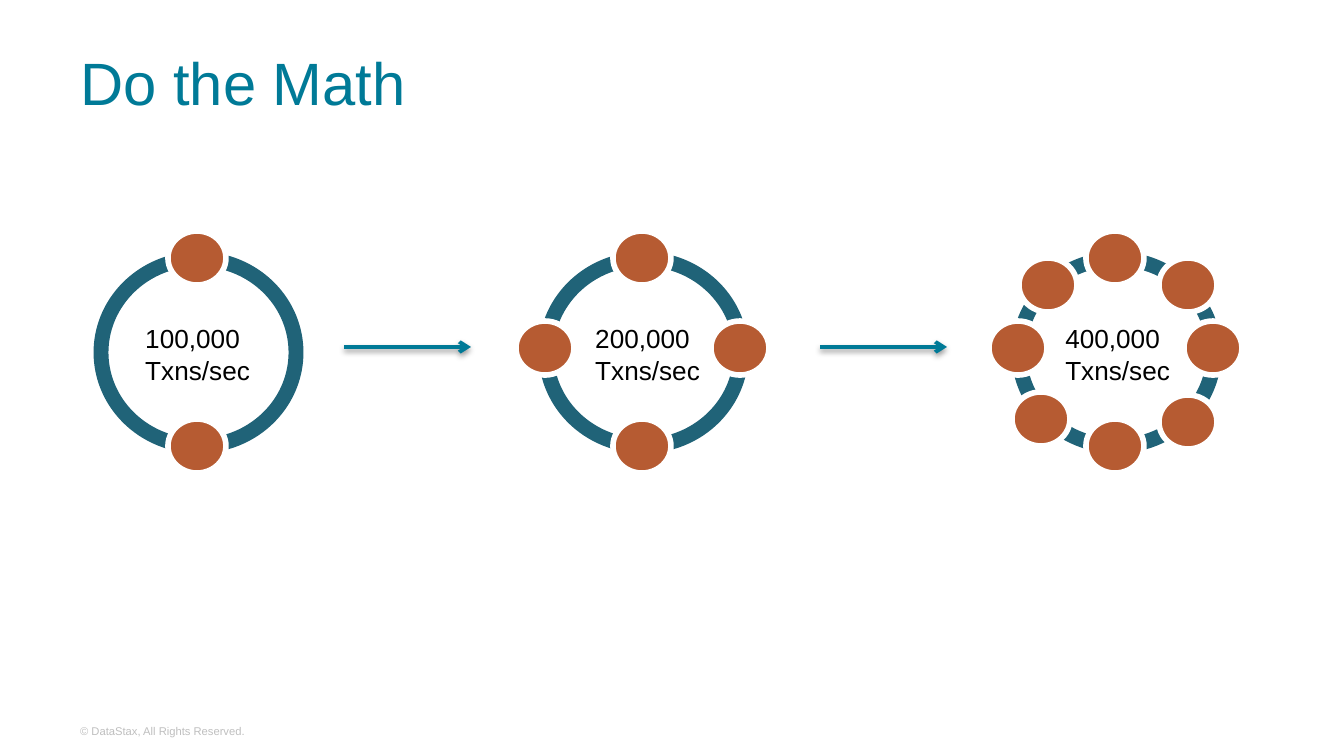
from lxml import etree
from pptx import Presentation
from pptx.dml.color import RGBColor
from pptx.enum.shapes import MSO_CONNECTOR, MSO_SHAPE
from pptx.enum.text import MSO_ANCHOR, MSO_AUTO_SIZE, PP_ALIGN
from pptx.oxml import parse_xml
from pptx.oxml.ns import nsdecls, qn
from pptx.util import Emu, Pt

# Content: lengths in px
TITLE = "Do the Math"
FOOTER = "© DataStax, All Rights Reserved."
COLORS = {"teal": "007A97", "ring": "206378", "node": "B65B32",
          "white": "FFFFFF", "black": "000000", "gray": "BFBFBF"}
FONT = "Arial"

# Node offsets from the top left of a ring
POLES = [(67, -28), (67, 160)]
SIDES = [(-30, 62), (165, 62)]
DIAGONALS = [(0, -1), (-7, 133), (140, -1), (140, 136)]

# Ring left, label left, label lines, nodes
CLUSTERS = [
    (101, 132, ["100,000", "Txns/sec"], POLES),
    (546, 582, ["200,000", "Txns/sec"], POLES + SIDES),
    (1019, 1052, ["400,000", "Txns/sec"], POLES + SIDES + DIAGONALS),
]
RING_TOP, RING_W, RING_H = 259, 195, 187
NODE_W, NODE_H = 58, 54
LABEL_TOP, LABEL_W, LABEL_H = 316, 132, 77
ARROW_LEFTS, ARROW_W, ARROW_Y = [344, 820], 127, 347


def px(*values):
    return [Emu(round(v * 914400 / 134.4)) for v in values]


def rgb(name):
    return RGBColor.from_string(COLORS[name])


def write(shape, lines, size, color, anchor=MSO_ANCHOR.TOP, wrap=True):
    tf = shape.text_frame
    tf.word_wrap = wrap
    tf.vertical_anchor = anchor
    for i, line in enumerate(lines):
        p = tf.paragraphs[0] if i == 0 else tf.add_paragraph()
        p.alignment = PP_ALIGN.LEFT
        r = p.add_run()
        r.text = line
        r.font.name = FONT
        r.font.size = Pt(size)
        r.font.color.rgb = rgb(color)
    return tf


def add_round(group, kind, box, fill, line, width):
    sp = group.shapes.add_shape(kind, *px(*box))
    sp.shadow.inherit = False
    if fill:
        sp.fill.solid()
        sp.fill.fore_color.rgb = rgb(fill)
    else:
        sp.fill.background()
    sp.line.color.rgb = rgb(line)
    sp.line.width = Pt(width)


def add_arrow(s, left):
    c = s.shapes.add_connector(MSO_CONNECTOR.STRAIGHT,
                               *px(left, ARROW_Y, left + ARROW_W, ARROW_Y))
    c.line.color.rgb = rgb("teal")
    c.line.width = Pt(2)
    etree.SubElement(c.line._get_or_add_ln(), qn("a:tailEnd"), type="arrow")
    c._element.spPr.append(parse_xml(
        f'<a:effectLst {nsdecls("a")}>'
        f'<a:outerShdw blurRad="{Pt(3.1)}" dist="{Pt(1.6)}" dir="5400000" rotWithShape="0">'
        f'<a:srgbClr val="{COLORS["black"]}"><a:alpha val="38000"/></a:srgbClr>'
        '</a:outerShdw></a:effectLst>'))


prs = Presentation()
prs.slide_width, prs.slide_height = px(1344, 756)
s = prs.slides.add_slide(prs.slide_layouts[5])

# Title
title = s.shapes.title
title.left, title.top, title.width, title.height = px(67, 19, 1210, 126)
write(title, [TITLE], 32, "teal", MSO_ANCHOR.MIDDLE)

# Clusters: ring, nodes and throughput label
for left, label_left, lines, nodes in CLUSTERS:
    group = s.shapes.add_group_shape()
    add_round(group, MSO_SHAPE.OVAL, (left, RING_TOP, RING_W, RING_H), None, "ring", 8)
    for dx, dy in nodes:
        add_round(group, MSO_SHAPE.FLOWCHART_CONNECTOR,
                  (left + dx, RING_TOP + dy, NODE_W, NODE_H), "node", "white", 3)
    label = s.shapes.add_textbox(*px(label_left, LABEL_TOP, LABEL_W, LABEL_H))
    tf = write(label, lines, 14, "black", wrap=False)
    tf.auto_size = MSO_AUTO_SIZE.SHAPE_TO_FIT_TEXT

# Arrows between clusters
for left in ARROW_LEFTS:
    add_arrow(s, left)

# Footer
footer = s.shapes.add_textbox(*px(67, 711, 234, 40))
write(footer, [FOOTER], 6, "gray", MSO_ANCHOR.MIDDLE)

prs.save("out.pptx")
